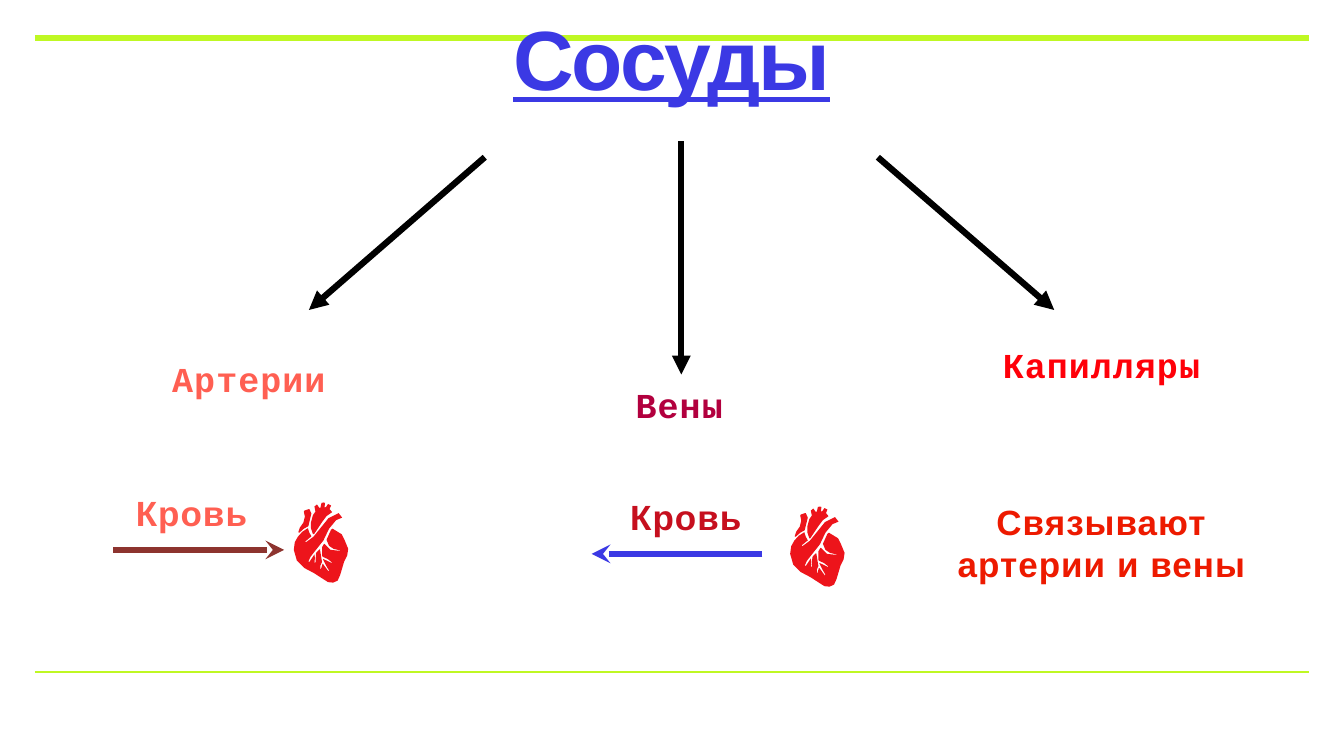
from pptx import Presentation
from pptx import util as u
from pptx.dml.color import RGBColor
from pptx.enum import shapes, text
from pptx.oxml.ns import qn
from lxml import etree

LIME, BLUE, CORAL = "BFF823", "3B39E4", "FF5F52"

# Heart outline in hundredths of an inch: two vessels, then the body
HEART = [
    [(59, 0), (55, 1), (53, 10), (51, 11), (46, 4), (41, 8), (43, 18), (38, 25),
     (34, 40), (34, 51), (38, 63), (40, 63), (56, 39), (65, 27), (75, 20),
     (76, 19), (71, 13), (74, 6), (68, 3), (64, 9), (61, 10), (62, 1)],
    [(30, 13), (21, 16), (20, 18), (22, 28), (19, 40), (12, 50), (9, 59), (11, 60),
     (20, 52), (29, 47), (31, 38), (34, 26), (35, 22), (31, 13)],
    [(89, 21), (69, 31), (52, 52), (39, 68), (24, 79), (23, 77), (34, 68), (35, 67),
     (31, 60), (28, 51), (17, 58), (8, 68), (2, 79), (0, 94), (6, 115), (21, 130),
     (40, 140), (57, 151), (68, 158), (78, 159), (87, 155), (92, 144), (100, 117),
     (106, 105), (108, 92), (101, 75), (95, 63), (77, 52), (74, 54), (65, 74),
     (70, 86), (79, 92), (92, 95), (92, 96), (73, 94), (61, 82), (60, 82), (56, 89),
     (56, 106), (58, 108), (67, 112), (76, 119), (75, 120), (65, 115), (58, 112),
     (58, 113), (64, 125), (70, 135), (69, 137), (58, 122), (57, 122), (54, 132),
     (53, 132), (53, 125), (56, 118), (52, 93), (51, 93), (45, 99), (44, 101),
     (43, 120), (41, 119), (42, 110), (41, 103), (31, 118), (29, 117), (33, 108),
     (40, 99), (59, 75), (70, 52), (84, 35), (96, 30)],
]


def hue(code):
    return RGBColor.from_string(code)


def style(shape, words, size, font, code, space, anchor):
    frame = shape.text_frame
    frame.text = words
    frame.auto_size = text.MSO_AUTO_SIZE.NONE
    frame.word_wrap = True
    frame.vertical_anchor = anchor
    frame.margin_left = frame.margin_right = u.Inches(0.06)
    frame.margin_top = frame.margin_bottom = u.Inches(0.06)
    para = frame.paragraphs[0]
    para.alignment = text.PP_ALIGN.CENTER
    para.font.size, para.font.name, para.font.bold = u.Pt(size), font, True
    para.font.color.rgb = hue(code)
    para.runs[0].font._element.set("spc", str(int(space * 100)))
    return para


def label(slide, box, words, code, font="Arial"):
    shape = slide.shapes.add_textbox(*map(u.Inches, box))
    style(shape, words, 50, font, code, 1.5, text.MSO_ANCHOR.MIDDLE)


def line(slide, start, end, code, width=9, head=None):
    link = slide.shapes.add_connector(
        shapes.MSO_CONNECTOR.STRAIGHT, *map(u.Inches, (*start, *end)))
    link.line.color.rgb = hue(code)
    link.line.width = u.Pt(width)
    if head:
        etree.SubElement(link.line._get_or_add_ln(), qn("a:tailEnd"), type=head)
    etree.SubElement(link._element.spPr, qn("a:effectLst"))


def heart(slide, left, top):
    pen = slide.shapes.build_freeform(*HEART[0][0], scale=u.Inches(0.01))
    for index, points in enumerate(HEART):
        if index:
            pen.move_to(*points[0])
        pen.add_line_segments(points[1:], close=True)
    shape = pen.convert_to_shape(u.Inches(left), u.Inches(top))
    shape.shadow.inherit = False
    shape.fill.solid()
    shape.fill.fore_color.rgb = hue("ED141B")
    shape.line.fill.background()


def header(slide, box):
    left, top, width, height = box
    # Rules above and below the content
    line(slide, (0.69, 13.33), (25.97, 13.33), LIME, 3)
    line(slide, (0.7, 0.76), (25.98, 0.76), LIME)
    # Title, in front of the upper rule
    title = slide.shapes.title
    title.left, title.top = u.Inches(left), u.Inches(top)
    title.width, title.height = u.Inches(width), u.Inches(height)
    para = style(title, "Сосуды", 120, "Arial", BLUE, -3, text.MSO_ANCHOR.TOP)
    para.font.underline = True
    para.line_spacing = 0.6
    slide.shapes._spTree.append(title._element)


def branch(slide, start, end, box, words, code):
    line(slide, start, end, "000000", head="triangle")
    label(slide, box, words, code, "Courier New")


def flow(slide, left, top, shift, gap, code, ink, back=False):
    """Blood label over an arrow, with the heart on the right."""
    label(slide, (left + shift, top, 2.36, 0.94), "Кровь", code)
    ends = [(left, top + 1.21), (left + 3.39, top + 1.21)]
    if back:
        ends.reverse()
    line(slide, *ends, ink, head="stealth")
    heart(slide, left + 3.39 + gap, top + 0.27)


def main():
    deck = Presentation()
    deck.slide_width, deck.slide_height = u.Inches(26.67), u.Inches(15)
    slide = deck.slides.add_slide(deck.slide_layouts[5])
    header(slide, (0.62, 0.78, 25.42, 2.13))

    # Three kinds of vessel
    branch(slide, (9.62, 3.12), (6.13, 6.15), (1.1, 7.04, 7.68, 0.92),
           "Артерии", CORAL)
    branch(slide, (13.52, 2.8), (13.52, 7.43), (12.34, 7.56, 2.28, 0.92),
           "Вены", "B2003E")
    branch(slide, (17.42, 3.12), (20.92, 6.15), (19.62, 6.78, 4.48, 0.92),
           "Капилляры", "FF0009")

    # What each one does
    flow(slide, 2.25, 9.7, 0.37, 0.19, CORAL, "8D342F")
    flow(slide, 11.74, 9.78, 0.69, 0.55, "C60F1E", BLUE, back=True)
    label(slide, (18.65, 9.87, 6.42, 1.79), "Связывают артерии и вены", "ED1A00")
    deck.save("out.pptx")


if __name__ == "__main__":
    main()
